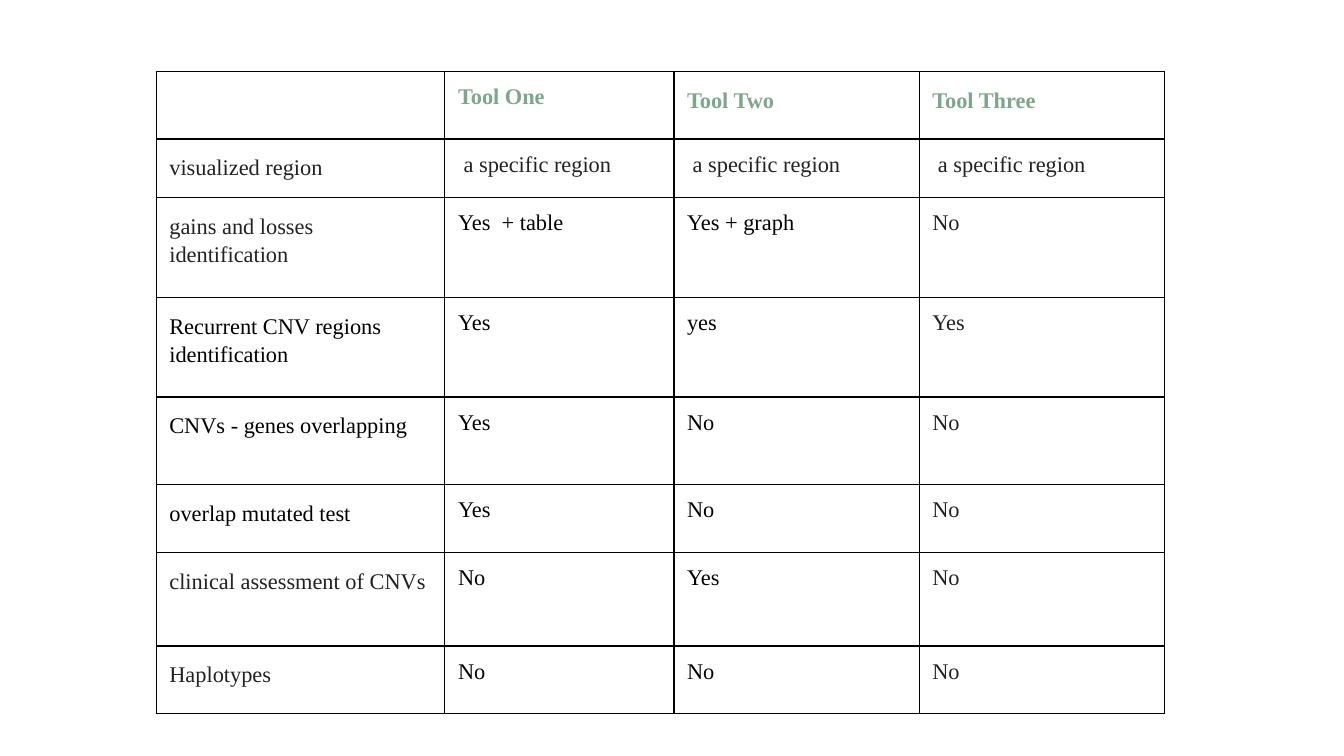
from lxml import etree
from pptx import Presentation
from pptx.dml.color import RGBColor
from pptx.enum.text import PP_ALIGN
from pptx.oxml.ns import qn
from pptx.util import Inches, Pt

JUSTIFY = PP_ALIGN.JUSTIFY
FONT = "Times New Roman"
COLORS = {"header": "7DA78B", "soft": "222222", "text": "000000", "line": "000000"}
MARGIN = Inches(0.13)
COL_WIDTHS = [2.86, 2.27, 2.43, 2.43]
ROW_HEIGHTS = [0.67, 0.58, 0.99, 0.99, 0.87, 0.67, 0.93, 0.67]
BLACK_LABELS = (3, 4, 5)
ROWS = [
    ["", "Tool One", "Tool Two", "Tool Three "],
    ["visualized region "] + [" a specific region"] * 3,
    ["gains and losses identification", "Yes  + table", "Yes + graph", "No "],
    ["Recurrent CNV regions identification", "Yes", "yes", "Yes"],
    ["CNVs - genes overlapping", "Yes", "No", "No"],
    ["overlap mutated test", "Yes", "No", "No"],
    ["clinical assessment of CNVs", "No ", "Yes", "No"],
    ["Haplotypes", "No ", "No ", "No"],
]


def set_borders(cell):
    tc_pr = cell._tc.get_or_add_tcPr()
    for i, side in enumerate(("lnL", "lnR", "lnT", "lnB")):
        ln = etree.Element(qn("a:" + side), w=str(Pt(1)))
        fill = etree.SubElement(ln, qn("a:solidFill"))
        etree.SubElement(fill, qn("a:srgbClr"), val=COLORS["line"])
        tc_pr.insert(i, ln)


def text_color(row, col):
    if row == 0:
        return COLORS["header"]
    if col == 0:
        return COLORS["text" if row in BLACK_LABELS else "soft"]
    return COLORS["soft" if row == 1 or col == 3 else "text"]


def fill_cell(cell, row, col, text):
    cell.margin_left = cell.margin_right = MARGIN
    cell.margin_top = cell.margin_bottom = MARGIN
    cell.fill.background()
    set_borders(cell)
    if not text:
        return
    p = cell.text_frame.paragraphs[0]
    p.text = text
    if row == 0 and col > 1:
        p.alignment = JUSTIFY
        p.line_spacing = 1.15
    elif col == 0:
        p.line_spacing = 1.15
        p.space_after = Pt(12)
    font = p.runs[0].font
    font.name = FONT
    font.size = Pt(16)
    font.bold = row == 0
    font.color.rgb = RGBColor.from_string(text_color(row, col))


def add_comparison(slide, left, top, width, height):
    frame = slide.shapes.add_table(len(ROWS), len(COL_WIDTHS), left, top, width, height)
    table = frame.table
    table.first_row = table.horz_banding = False
    for column, share in zip(table.columns, COL_WIDTHS):
        column.width = int(width * share / sum(COL_WIDTHS))
    for line, share in zip(table.rows, ROW_HEIGHTS):
        line.height = int(height * share / sum(ROW_HEIGHTS))
    for row, values in enumerate(ROWS):
        for col, text in enumerate(values):
            fill_cell(table.cell(row, col), row, col, text)


prs = Presentation()
prs.slide_width, prs.slide_height = Inches(13.33), Inches(7.5)
slide = prs.slides.add_slide(prs.slide_layouts[6])
add_comparison(slide, Inches(1.55), Inches(0.71), Inches(10), Inches(6.37))
prs.save("out.pptx")
